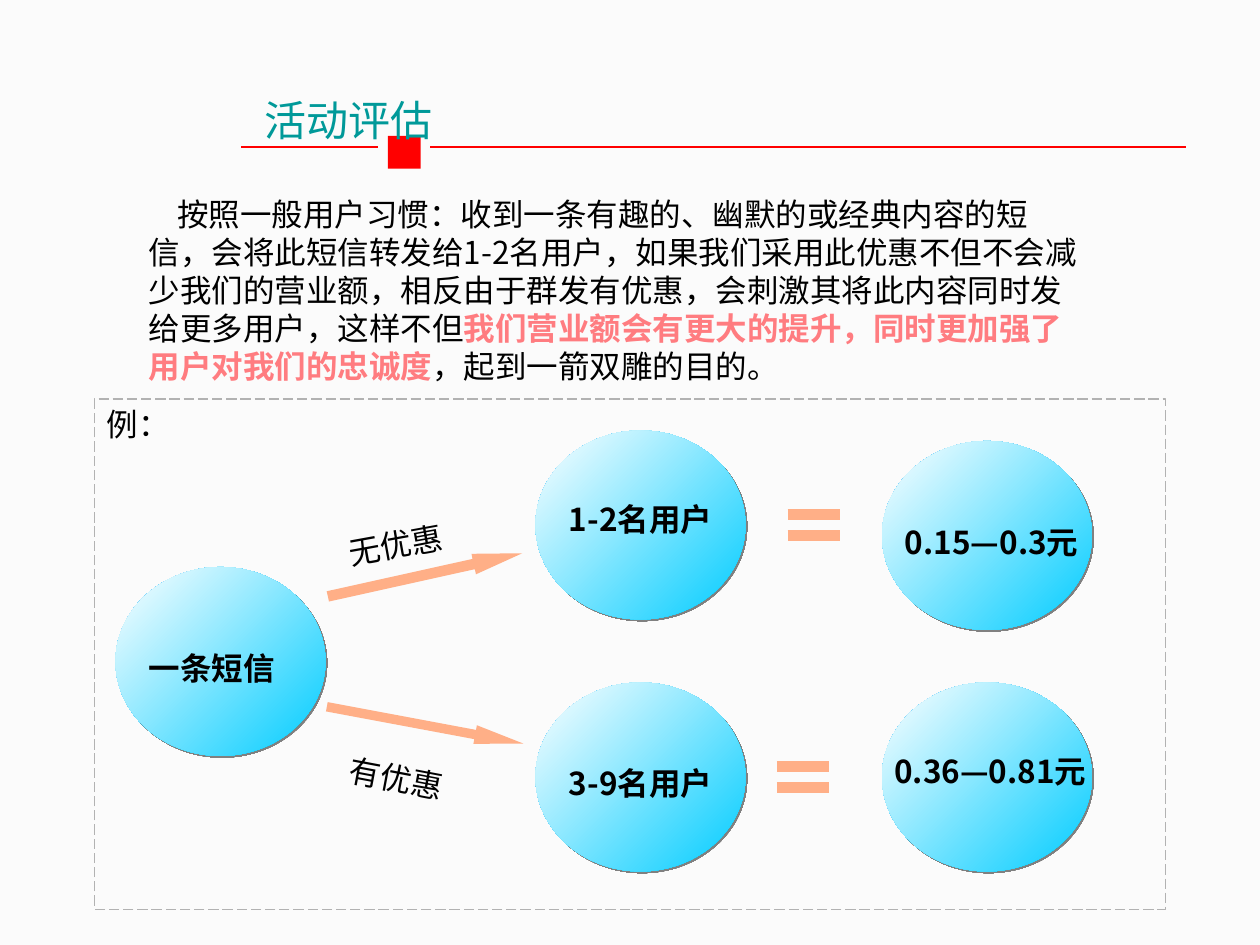
from lxml.etree import SubElement as Sub
from pptx import Presentation
from pptx.dml.color import RGBColor as RGB
from pptx.enum.dml import MSO_LINE as Dash
from pptx.enum.shapes import MSO_CONNECTOR as Conn, MSO_SHAPE as Kind
from pptx.enum.text import MSO_ANCHOR as Anchor, MSO_AUTO_SIZE as Auto, PP_ALIGN as Align
from pptx.oxml.ns import qn
from pptx.util import Pt

HUES = {"back": "FBFBFB", "red": "FF0000", "teal": "009999", "ink": "000000",
        "pink": "FF7C80", "peach": "FFAF87", "cyan": "00CCFF", "white": "FFFFFF",
        "gray": "B2B2B2", "shade": "808080"}
FACE = "Noto Sans CJK SC"

TITLE = "活动评估"
BODY = [
    ("按照一般用户习惯：收到一条有趣的、幽默的或经典内容的短信，会将此短信转发给1-2名用户，"
     "如果我们采用此优惠不但不会减少我们的营业额，相反由于群发有优惠，会刺激其将此内容同时"
     "发给更多用户，这样不但", "ink", False),
    ("我们营业额会有更大的提升，同时更加强了用户对我们的忠诚度", "pink", True),
    ("，起到一箭双雕的目的。", "ink", False),
]
NOTE = "例："
BALLS = [
    ("一条短信", (66, 324), (78, 367.4, 96)),
    ("1-2名用户", (306, 246), (318, 282, 108)),
    ("0.15—0.3元", (504, 252), (510, 295.4, 120)),
    ("3-9名用户", (306, 390), (318, 433.2, 102)),
    ("0.36—0.81元", (504, 390), (504, 426, 132)),
]
ARROWS = [
    ("无优惠", (186, 322.5, 113.8, 12), 347.5, 2.37, (192, 293.8, 102), 349.6),
    ("有优惠", (185.8, 409, 114.2, 10.8), 10.6, 2.59, (192, 433.5, 102), 10.7),
]
EQUALS = [(450, 294), (444, 438)]
BALL = (120, 108)
BAR, GAP = 30, 12
ROW = 28.8


def hue(name):
    return RGB.from_string(HUES[name])


def put(obj, vals):
    for key, val in vals.items():
        setattr(obj, key, val)


def place(obj, box):
    put(obj, dict(zip(("left", "top", "width", "height"), map(Pt, box))))


def write(shape, runs, size=18, indent=0):
    frame = shape.text_frame
    put(frame, {"word_wrap": True, "auto_size": Auto.NONE, "vertical_anchor": Anchor.TOP,
                "margin_left": Pt(7.2), "margin_right": Pt(0),
                "margin_top": Pt(3.6), "margin_bottom": Pt(3.6)})
    para = frame.paragraphs[0]
    put(para, {"alignment": Align.LEFT, "line_spacing": Pt(size * 1.2), "space_before": Pt(0)})
    props = para._p.get_or_add_pPr()
    for key, val in {"marL": 0, "indent": Pt(indent), "hangingPunct": 0}.items():
        props.set(key, str(val))
    Sub(props, qn("a:buNone"))
    for text, tint, bold in runs:
        run = para.add_run()
        run.text = text
        put(run.font, {"name": FACE, "size": Pt(size), "bold": bold})
        run.font.color.rgb = hue(tint)
        Sub(run._r.get_or_add_rPr(), qn("a:ea"), typeface=FACE)


def label(text, spot, bold, turn=0):
    box = shapes.add_textbox(*map(Pt, (*spot, ROW)))
    box.rotation = turn
    write(box, [(text, "ink", bold)])


def rule(x, y, end, tint, width):
    line = shapes.add_connector(Conn.STRAIGHT, *map(Pt, (x, y, end, y)))
    line.line.color.rgb = hue(tint)
    line.line.width = Pt(width)
    Sub(line._element.spPr, qn("a:effectLst"))


def solid(kind, box, tint):
    form = shapes.add_shape(kind, *map(Pt, box))
    form.shadow.inherit = False
    form.fill.solid()
    form.fill.fore_color.rgb = hue(tint)
    form.line.fill.background()
    return form


def ball(spot):
    form = solid(Kind.OVAL, (*spot, *BALL), "cyan")
    form.fill.gradient()
    form.fill.gradient_angle = 135
    for stop, tint, pos in zip(form.fill.gradient_stops, ("cyan", "white"), (0, 1)):
        stop.color.rgb = hue(tint)
        stop.position = pos
    effect = form._element.spPr.find(qn("a:effectLst"))
    cast = Sub(effect, qn("a:outerShdw"), blurRad="0", dist=str(Pt(1.4)),
               dir="2700000", algn="ctr", rotWithShape="0")
    Sub(cast, qn("a:srgbClr"), val=HUES["shade"])


deck = Presentation()
put(deck, {"slide_width": Pt(720), "slide_height": Pt(540)})
slide = deck.slides.add_slide(deck.slide_layouts[1])
shapes = slide.shapes
slide.background.fill.solid()
slide.background.fill.fore_color.rgb = hue("back")

rule(246, 84, 678, "red", 1.5)
solid(Kind.RECTANGLE, (221.6, 77.6, 18.8, 18.8), "red")
rule(138, 84, 216, "red", 1.5)

title, body = shapes.title, slide.placeholders[1]
place(title, (144, 50.4, 210, 36))
write(title, [(TITLE, "teal", False)], 24)
place(body, (77.8, 108, 552, 115.2))
write(body, BODY, indent=16.2)
body.text_frame.margin_right = Pt(10)
for item in (title, body):
    shapes._spTree.append(item._element)

for text, spot, where in BALLS:
    ball(spot)
    label(text, where, True)

for text, box, turn, tip, where, tilt in ARROWS:
    arrow = solid(Kind.RIGHT_ARROW, box, "peach")
    arrow.rotation = turn
    arrow.adjustments[0] = 0.5
    arrow.adjustments[1] = tip
    label(text, where, False, tilt)

for x, y in EQUALS:
    for step in range(2):
        rule(x, y + step * GAP, x + BAR, "peach", 6)

frame = shapes.add_shape(Kind.RECTANGLE, *map(Pt, (54, 228, 612, 291.6)))
frame.shadow.inherit = False
frame.fill.background()
frame.line.color.rgb = hue("gray")
put(frame.line, {"width": Pt(0.75), "dash_style": Dash.LONG_DASH})
write(frame, [(NOTE, "ink", False)])

deck.save("out.pptx")
